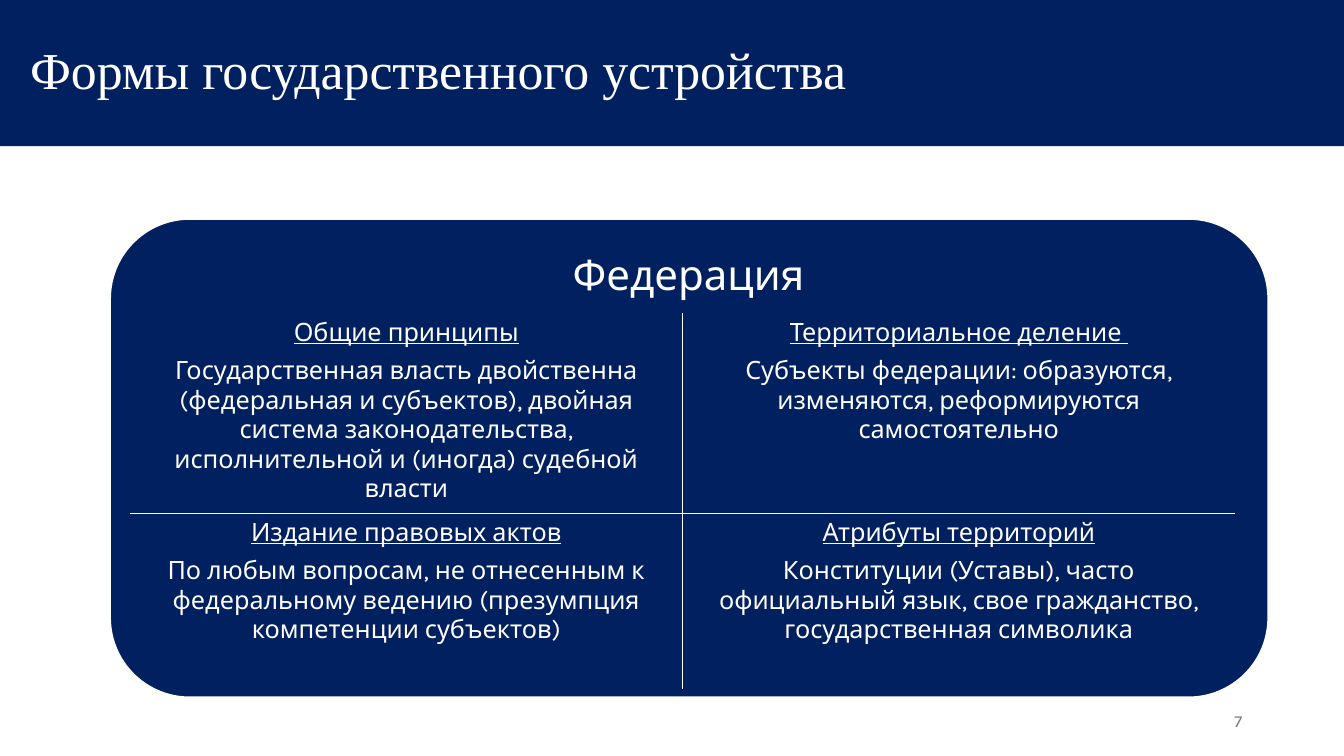
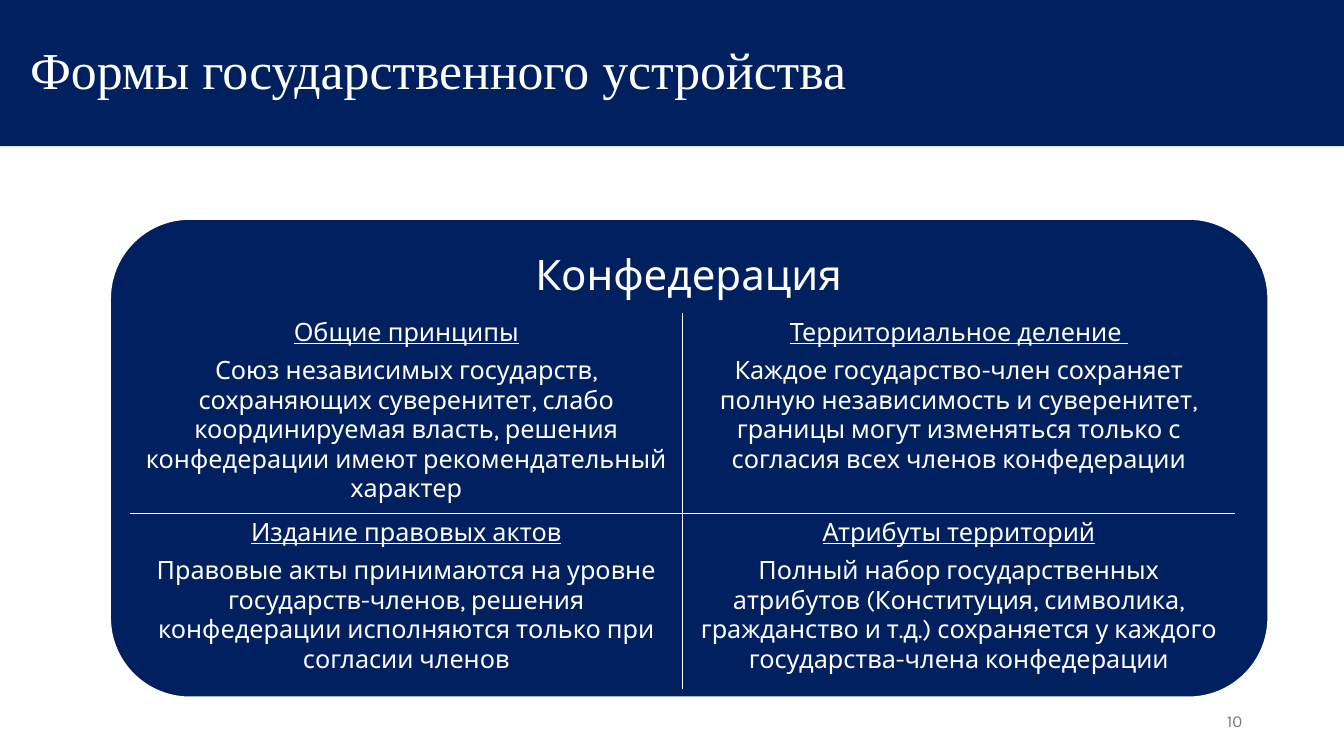
from dataclasses import dataclass

from lxml import etree
from pptx import Presentation
from pptx.dml.color import RGBColor
from pptx.enum import shapes, text
from pptx.oxml import ns
from pptx.util import Inches, Pt


@dataclass(frozen=True)
class Theme:
    navy: RGBColor = RGBColor(0x00, 0x20, 0x60)
    white: RGBColor = RGBColor(0xFF, 0xFF, 0xFF)
    gray: RGBColor = RGBColor(0x79, 0x79, 0x79)
    title_font: str = "Times New Roman"
    body_font: str = "Karla"
    title_size: int = 37
    heading_size: int = 30
    body_size: int = 18
    number_size: int = 12
    border_width: int = 1


THEME = Theme()
SLIDE_WIDTH, SLIDE_HEIGHT = 13.33, 7.5
TITLE = "Формы государственного устройства"
TOPICS = (
    "Общие принципы",
    "Территориальное деление ",
    "Издание правовых актов",
    "Атрибуты территорий",
)
FORMS = (
    ("7", "Федерация", (
        "Государственная власть двойственна (федеральная и субъектов), двойная система "
        "законодательства, исполнительной и (иногда) судебной власти",
        "Субъекты федерации: образуются, изменяются, реформируются самостоятельно",
        "По любым вопросам, не отнесенным к федеральному ведению (презумпция компетенции субъектов)",
        "Конституции (Уставы), часто официальный язык, свое гражданство, государственная символика",
    )),
    ("10", "Конфедерация", (
        "Союз независимых государств, сохраняющих суверенитет, слабо координируемая власть, "
        "решения конфедерации имеют рекомендательный характер",
        "Каждое государство-член сохраняет полную независимость и суверенитет, границы могут "
        "изменяться только с согласия всех членов конфедерации",
        "Правовые акты принимаются на уровне государств-членов, решения конфедерации "
        "исполняются только при согласии членов",
        "Полный набор государственных атрибутов (Конституция, символика, гражданство и т.д.) "
        "сохраняется у каждого государства-члена конфедерации",
    )),
)


def place(*lengths):
    return [Inches(length) for length in lengths]


def write(para, words, size, align, color=THEME.white, font=THEME.body_font, underline=False):
    para.alignment = align
    span = para.add_run()
    span.text = words
    span.font.name = font
    span.font.size = Pt(size)
    span.font.color.rgb = color
    span.font.underline = underline


def add_panel(page, preset, *bounds):
    panel = page.shapes.add_shape(preset, *place(*bounds))
    panel.shadow.inherit = False
    panel.fill.solid()
    panel.fill.fore_color.rgb = THEME.navy
    panel.line.fill.background()
    return panel


def add_title(page):
    band = add_panel(page, shapes.MSO_SHAPE.RECTANGLE, 0, 0, SLIDE_WIDTH, 1.45)
    band.text_frame.vertical_anchor = text.MSO_ANCHOR.MIDDLE
    para = band.text_frame.paragraphs[0]
    para.line_spacing = 0.9
    write(para, TITLE, THEME.title_size, text.PP_ALIGN.LEFT, font=THEME.title_font)
    properties = para._p.get_or_add_pPr()
    properties.set("marL", "0")
    properties.set("indent", str(Inches(0.2)))


def add_number(page, number):
    box = page.shapes.add_textbox(*place(9.42, 6.95, 3, 0.4))
    box.text_frame.word_wrap = True
    box.text_frame.vertical_anchor = text.MSO_ANCHOR.MIDDLE
    write(box.text_frame.paragraphs[0], number, THEME.number_size,
          text.PP_ALIGN.RIGHT, THEME.gray)


def add_card(page, heading):
    card = add_panel(page, shapes.MSO_SHAPE.ROUNDED_RECTANGLE, 1.09, 2.17, 11.49, 4.75)
    card.line.color.rgb = THEME.white
    card.line.width = Pt(1.5)
    box = page.shapes.add_textbox(*place(1.32, 2.4, 11.02, 4.28))
    frame = box.text_frame
    frame.word_wrap = True
    frame.margin_left = frame.margin_right = Inches(0.12)
    frame.margin_top = frame.margin_bottom = Inches(0.12)
    para = frame.paragraphs[0]
    para.line_spacing = 0.9
    write(para, heading, THEME.heading_size, text.PP_ALIGN.CENTER)


def set_borders(cell, visible):
    properties = cell._tc.get_or_add_tcPr()
    for side in "LRTB":
        line = etree.SubElement(properties, ns.qn(f"a:ln{side}"))
        if side in visible:
            line.set("w", str(Pt(THEME.border_width)))
            fill = etree.SubElement(line, ns.qn("a:solidFill"))
            etree.SubElement(fill, ns.qn("a:srgbClr")).set("val", str(THEME.white))
        else:
            etree.SubElement(line, ns.qn("a:noFill"))


def add_topics(page, details):
    table = page.shapes.add_table(2, 2, *place(1.29, 3.11, 10.96, 3.48)).table
    table.first_row = False
    table.horz_banding = False
    for index, (topic, detail) in enumerate(zip(TOPICS, details)):
        row, column = divmod(index, 2)
        cell = table.cell(row, column)
        set_borders(cell, "RL"[column] + "BT"[row])
        cell.fill.background()
        frame = cell.text_frame
        for para, words in ((frame.paragraphs[0], topic), (frame.add_paragraph(), detail)):
            para.space_after = Pt(6)
            write(para, words, THEME.body_size, text.PP_ALIGN.CENTER,
                  underline=words == topic)


def main():
    deck = Presentation()
    deck.slide_width, deck.slide_height = place(SLIDE_WIDTH, SLIDE_HEIGHT)
    for number, heading, details in FORMS:
        page = deck.slides.add_slide(deck.slide_layouts[6])
        add_number(page, number)
        add_title(page)
        add_card(page, heading)
        add_topics(page, details)
    deck.save("out.pptx")


if __name__ == "__main__":
    main()
